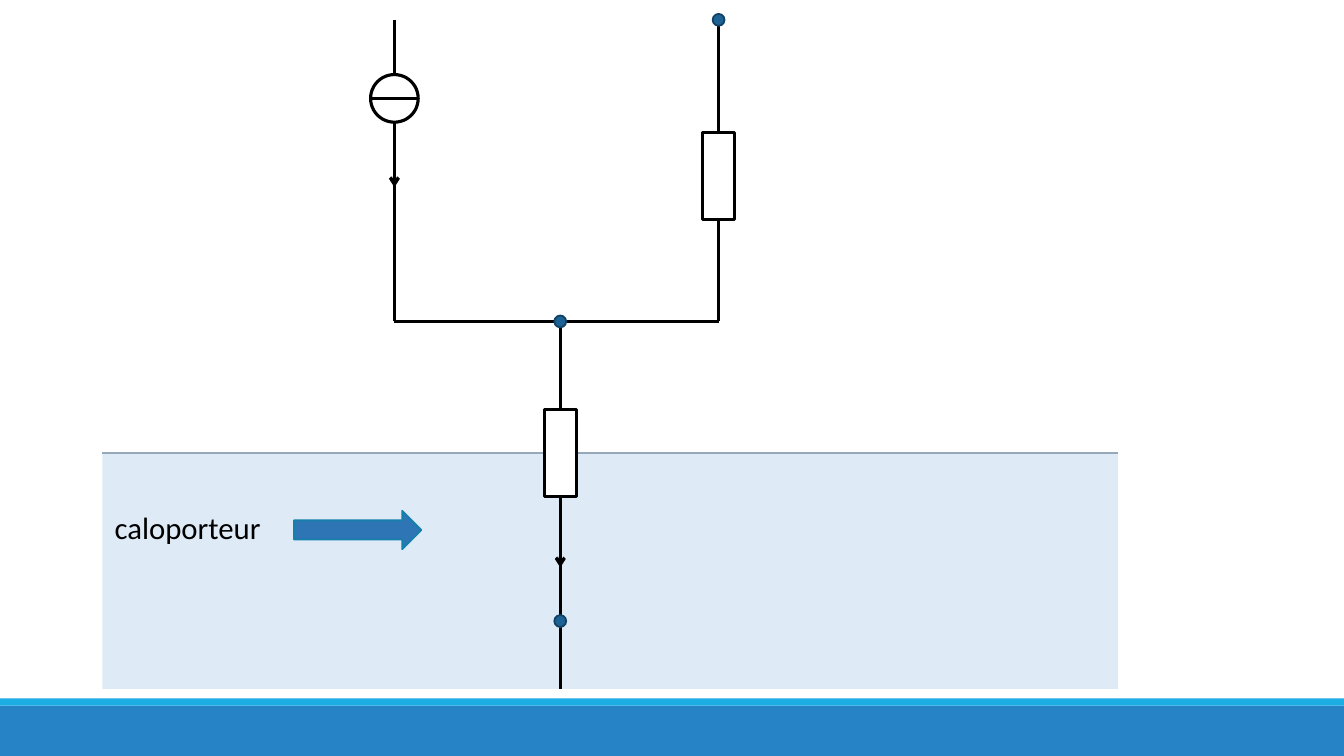
import dataclasses

import lxml.etree
import pptx
import pptx.dml.color
import pptx.enum.shapes
import pptx.enum.text
import pptx.oxml.ns
import pptx.util

Cm = pptx.util.Cm
Pt = pptx.util.Pt
Kind = pptx.enum.shapes.MSO_SHAPE


@dataclasses.dataclass(frozen=True)
class Theme:
    font: str = "Calibri"
    size: float = 22
    black: str = "000000"
    white: str = "FFFFFF"
    bar: str = "2683C6"
    strip: str = "1CADE4"
    fluid: str = "DEEBF7"
    edge: str = "96A9BA"
    flow: str = "2E75B6"
    rim: str = "1580A9"
    node: str = "1D6294"
    ring: str = "134163"
    wire: float = 2.25
    thin: float = 1.25
    border: float = 1.5


THEME = Theme()


def tint(code):
    return pptx.dml.color.RGBColor.from_string(code)


def add_form(shapes, kind, left, top, width, height, fill, line=None, weight=THEME.wire):
    form = shapes.add_shape(kind, Cm(left), Cm(top), Cm(width), Cm(height))
    form.shadow.inherit = False
    form.fill.solid()
    form.fill.fore_color.rgb = tint(fill)
    if line:
        form.line.color.rgb = tint(line)
        form.line.width = Pt(weight)
    else:
        form.line.fill.background()
    return form


def add_wire(shapes, start, end, color=THEME.black, weight=THEME.wire, arrow=False):
    wire = shapes.add_connector(
        pptx.enum.shapes.MSO_CONNECTOR.STRAIGHT, *[Cm(n) for n in (*start, *end)]
    )
    wire.line.color.rgb = tint(color)
    wire.line.width = Pt(weight)
    qn = pptx.oxml.ns.qn
    props = wire._element.find(qn("p:spPr"))
    if arrow:
        lxml.etree.SubElement(props.find(qn("a:ln")), qn("a:tailEnd"), type="arrow")
    lxml.etree.SubElement(props, qn("a:effectLst"))
    return wire


def add_text(shapes, text, left, top, width, height, *, size=THEME.size, color=THEME.black):
    box = shapes.add_textbox(Cm(left), Cm(top), Cm(width), Cm(height))
    frame = box.text_frame
    frame.word_wrap = False
    frame.auto_size = pptx.enum.text.MSO_AUTO_SIZE.SHAPE_TO_FIT_TEXT
    run = frame.paragraphs[0].add_run()
    run.text = text
    run.font.name = THEME.font
    run.font.size = Pt(size)
    run.font.color.rgb = tint(color)
    return box


def add_node(shapes, x, y, size=0.3):
    add_form(shapes, Kind.OVAL, x - size / 2, y - size / 2, size, size,
             THEME.node, THEME.ring, THEME.thin)


def add_load(shapes, x, y, width=0.8, height=2.19):
    add_form(shapes, Kind.RECTANGLE, x - width / 2, y - height / 2, width, height,
             THEME.white, THEME.black)


def add_source(shapes, x, y, size=1.2):
    parts = shapes.add_group_shape().shapes
    half = size / 2
    add_form(parts, Kind.OVAL, x - half, y - half, size, size, THEME.white, THEME.black)
    add_wire(parts, (x - half, y), (x + half, y))


def main():
    deck = pptx.Presentation()
    deck.slide_width, deck.slide_height = Cm(33.87), Cm(19.05)
    shapes = deck.slides.add_slide(deck.slide_layouts[6]).shapes

    add_form(shapes, Kind.RECTANGLE, 0, 17.78, 33.87, 1.27, THEME.bar)
    add_form(shapes, Kind.RECTANGLE, 0, 17.6, 33.87, 0.18, THEME.strip)
    add_form(shapes, Kind.RECTANGLE, 2.58, 11.42, 25.6, 5.94, THEME.fluid)
    add_wire(shapes, (2.58, 11.41), (28.18, 11.41), THEME.edge, THEME.border)
    add_text(shapes, "caloporteur", 2.64, 12.7, 4.22, 1.19)
    add_form(shapes, Kind.RIGHT_ARROW, 7.41, 12.87, 3.21, 0.97,
             THEME.flow, THEME.rim, THEME.thin)

    left, mid, right = 9.94, 14.12, 18.11
    top, join, sink, base = 0.5, 8.1, 15.65, 17.35

    add_wire(shapes, (mid, join), (mid, base))
    add_wire(shapes, (left, top), (left, join))
    add_source(shapes, left, 2.48)
    add_wire(shapes, (left, join), (right, join))
    add_wire(shapes, (left, 3.2), (left, 4.72), arrow=True)
    add_wire(shapes, (mid, 13.51), (mid, 14.3), arrow=True)
    add_wire(shapes, (right, top), (right, join))
    for x, y in ((mid, 11.42), (right, 4.44)):
        add_load(shapes, x, y)
    for x, y in ((mid, join), (right, top), (mid, sink)):
        add_node(shapes, x, y)

    deck.save("out.pptx")


if __name__ == "__main__":
    main()
